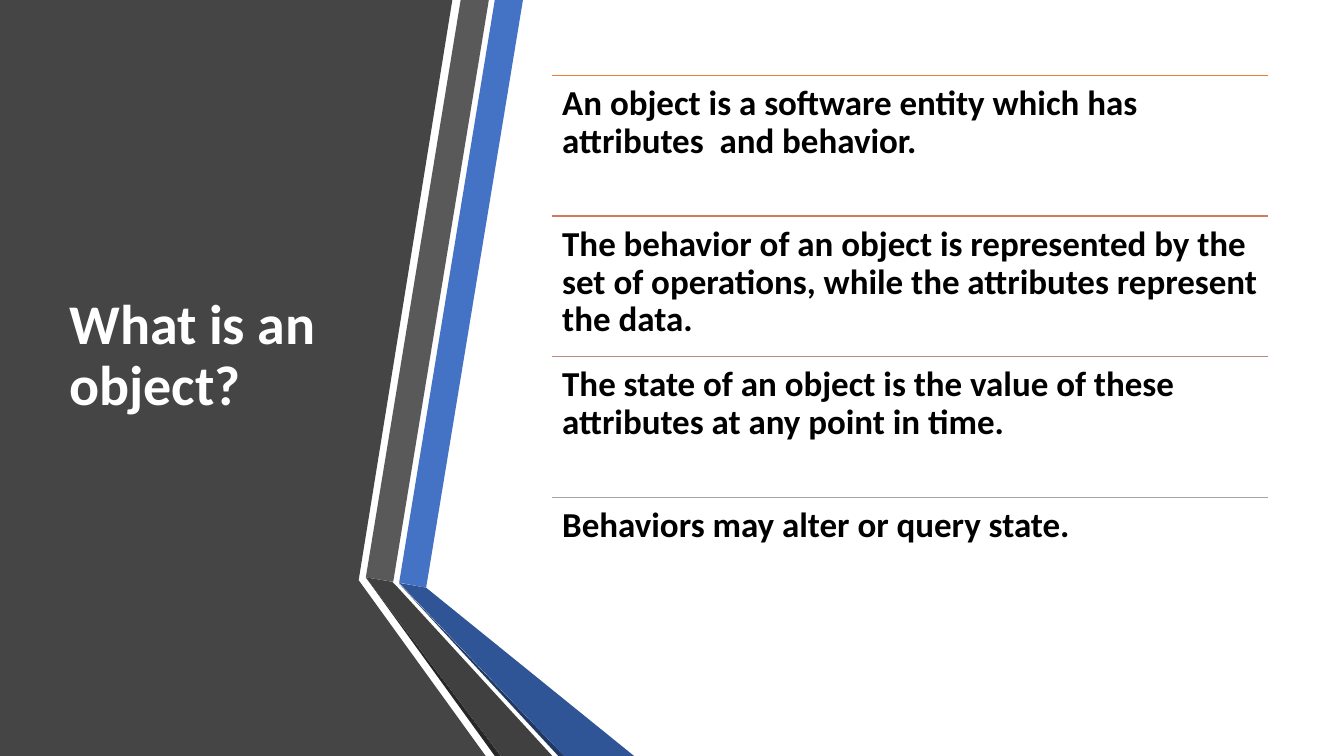
from lxml.etree import SubElement
from pptx import Presentation
from pptx.dml.color import RGBColor
from pptx.enum.shapes import MSO_CONNECTOR
from pptx.enum.text import MSO_ANCHOR
from pptx.oxml.ns import qn
from pptx.util import Cm, Pt

COLORS = {
    "panel": "454545",
    "blue": "4472C4",
    "blue_fold": "2F5597",
    "blue_edge": "203864",
    "grey": "595959",
    "grey_fold": "404040",
    "grey_edge": "262626",
    "title": "FFFFFF",
    "body": "000000",
}
FONT = "Calibri"
WIDTH, HEIGHT = 33.87, 19.05

BANDS = [
    ("panel", [(0, 0), (11.4, 0), (9.04, 14.62), (12.24, HEIGHT), (0, HEIGHT)]),
    ("blue", [(10.06, 14.68), (10.74, 14.81), (13.18, 0), (12.47, 0)]),
    ("grey", [(12.32, 0), (11.61, 0), (9.22, 14.55), (9.91, 14.66)]),
    ("grey_edge", [(9.22, 14.55), (12.47, HEIGHT), (12.62, HEIGHT)]),
    ("blue_edge", [(10.06, 14.71), (14.07, HEIGHT), (14.22, HEIGHT)]),
    ("blue_fold", [(10.06, 14.69), (14.22, HEIGHT), (15.98, HEIGHT), (10.74, 14.81)]),
    ("grey_fold", [(13.92, HEIGHT), (10.03, 14.81), (9.88, 14.66), (9.22, 14.55), (12.62, HEIGHT)]),
]

STATEMENTS = [
    ("ED7D31", "An object is a software entity which has attributes  and behavior."),
    ("D17B5C", "The behavior of an object is represented by the set of operations, "
               "while the attributes represent the data."),
    ("B98A82", "The state of an object is the value of these attributes at any point in time."),
    ("A5A5A5", "Behaviors may alter or query state."),
]


def add_bands(slide, left, top):
    """Draw the dark panel and its folded ribbons from the given corner."""
    for color, points in BANDS:
        corners = [(Cm(left + x), Cm(top + y)) for x, y in points]
        builder = slide.shapes.build_freeform(*corners[0])
        builder.add_line_segments(corners[1:], close=True)
        band = builder.convert_to_shape()
        band.shadow.inherit = False
        band.fill.solid()
        band.fill.fore_color.rgb = RGBColor.from_string(COLORS[color])
        band.line.fill.background()


def add_words(slide, box, words, size, color, anchor, inset):
    """Place one bold paragraph in a box of left, top, width and height."""
    frame = slide.shapes.add_textbox(*(Cm(length) for length in box)).text_frame
    frame.word_wrap = True
    frame.vertical_anchor = anchor
    frame.margin_left = frame.margin_right = Cm(0.25)
    frame.margin_top = frame.margin_bottom = Cm(inset)
    paragraph = frame.paragraphs[0]
    paragraph.line_spacing = 0.9
    run = paragraph.add_run()
    run.text = words
    run.font.name = FONT
    run.font.size = Pt(size)
    run.font.bold = True
    run.font.color.rgb = RGBColor.from_string(COLORS[color])


def add_statements(slide, left, top, width, height):
    """Stack the statements in equal rows, each under its own rule."""
    row = height / len(STATEMENTS)
    for index, (color, statement) in enumerate(STATEMENTS):
        y = top + index * row
        rule = slide.shapes.add_connector(
            MSO_CONNECTOR.STRAIGHT, Cm(left), Cm(y), Cm(left + width), Cm(y))
        rule.line.color.rgb = RGBColor.from_string(color)
        rule.line.width = Pt(1)
        SubElement(rule.element.spPr, qn("a:effectLst"))
        add_words(slide, (left, y, width, row), statement, 25, "body", MSO_ANCHOR.TOP, 0.25)


def main():
    """Build the slide and save it."""
    deck = Presentation()
    deck.slide_width, deck.slide_height = Cm(WIDTH), Cm(HEIGHT)
    slide = deck.slides.add_slide(deck.slide_layouts[6])
    add_bands(slide, 0, 0)
    add_words(slide, (1.5, 1.9, 7.72, 14.18), "What is an object?", 40, "title",
              MSO_ANCHOR.MIDDLE, 0.13)
    add_statements(slide, 13.92, 1.9, 18.03, 14.18)
    deck.save("out.pptx")


if __name__ == "__main__":
    main()
